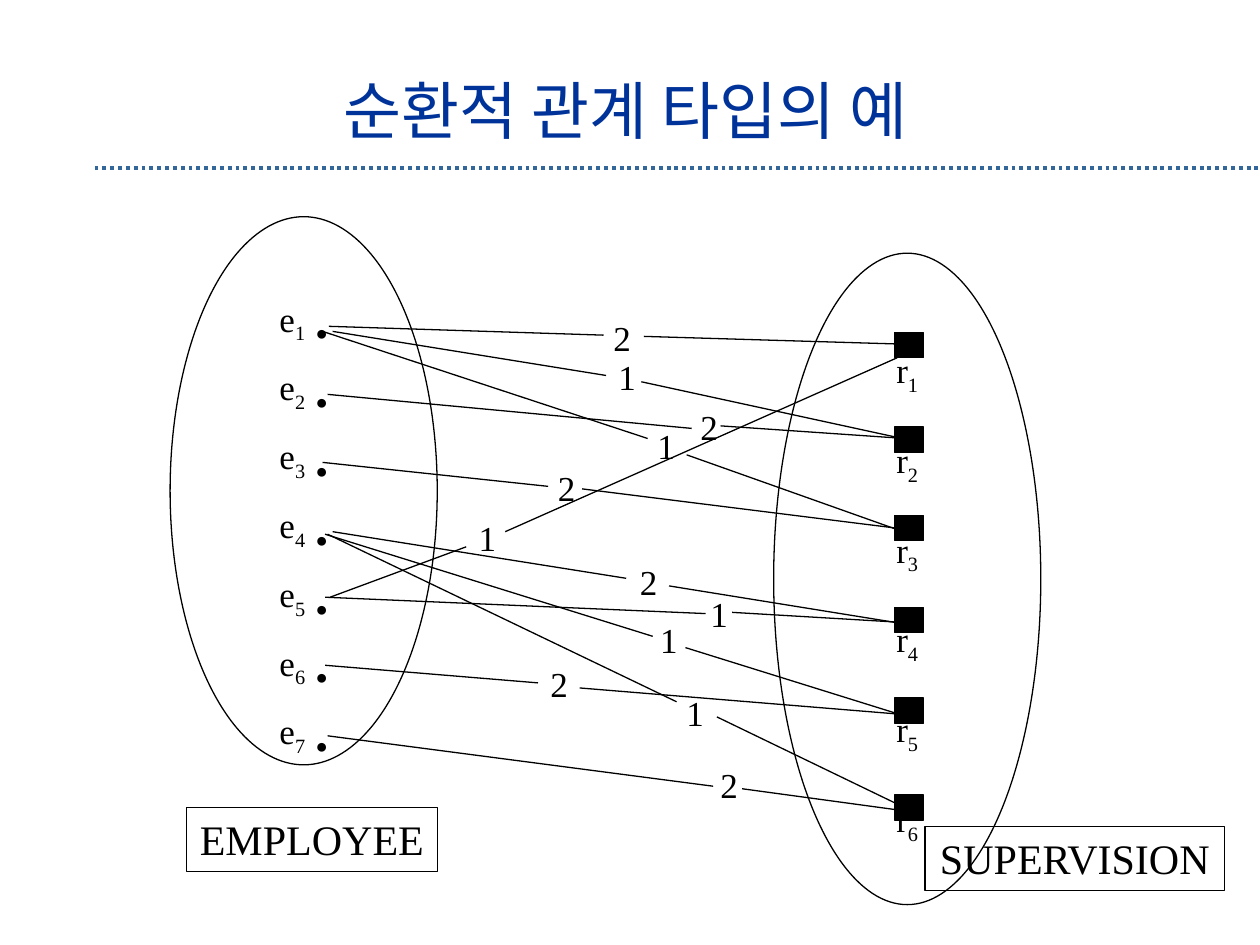
from lxml.etree import SubElement
from pptx import Presentation
from pptx.dml.color import RGBColor
from pptx.enum.dml import MSO_LINE
from pptx.enum.shapes import MSO_CONNECTOR, MSO_SHAPE
from pptx.enum.text import MSO_ANCHOR, MSO_AUTO_SIZE, PP_ALIGN
from pptx.oxml.ns import qn
from pptx.util import Inches, Pt

BLACK = RGBColor(0x00, 0x00, 0x00)
NAVY = RGBColor(0x00, 0x33, 0x99)
STEEL = RGBColor(0x33, 0x66, 0x99)
SERIF = "Times New Roman"
KOREAN = "Noto Sans CJK KR"

EDGES = [
    ((2.61, 2.59), (4.79, 2.66), "2", (4.77, 2.46), (5.11, 2.67), (7.12, 2.73)),
    ((2.64, 2.63), (4.81, 2.98), "1", (4.81, 2.77), (5.09, 3.03), (7.16, 3.48)),
    ((2.56, 2.63), (5.14, 3.48), "1", (5.12, 3.32), (5.45, 3.61), (7.14, 4.21)),
    ((2.60, 3.13), (5.49, 3.40), "2", (5.46, 3.17), (5.72, 3.38), (7.18, 3.48)),
    ((2.56, 3.67), (4.35, 3.86), "2", (4.33, 3.65), (4.62, 3.88), (7.10, 4.19)),
    ((2.64, 4.22), (4.97, 4.59), "2", (4.98, 4.40), (5.31, 4.65), (7.29, 4.97)),
    ((2.58, 4.24), (5.18, 5.05), "1", (5.14, 4.86), (5.44, 5.14), (7.14, 5.67)),
    ((2.60, 4.24), (5.37, 5.57), "1", (5.35, 5.44), (5.69, 5.69), (7.16, 6.40)),
    ((2.62, 4.74), (3.70, 4.34), "1", (3.70, 4.05), (4.01, 4.22), (7.12, 2.84)),
    ((2.58, 4.74), (5.60, 4.87), "1", (5.54, 4.65), (5.81, 4.86), (7.16, 4.94)),
    ((2.58, 5.28), (4.27, 5.42), "2", (4.27, 5.21), (4.60, 5.46), (7.16, 5.67)),
    ((2.60, 5.84), (5.66, 6.24), "2", (5.62, 6.01), (5.89, 6.26), (7.14, 6.43)),
]
SQUARE_TOPS = [2.64, 3.39, 4.09, 4.82, 5.54, 6.31]


class Diagram:
    """Draws the parts of a relationship diagram on one slide."""

    def __init__(self, slide):
        self.s = slide

    def style(self, p, size, font=SERIF, color=BLACK, align=PP_ALIGN.CENTER):
        p.alignment = align
        p.font.size = Pt(size)
        p.font.name = font
        p.font.color.rgb = color

    def line(self, start, end, color=BLACK, width=0.75, dash=None):
        points = [Inches(v) for v in (*start, *end)]
        c = self.s.shapes.add_connector(MSO_CONNECTOR.STRAIGHT, *points)
        c.line.color.rgb = color
        c.line.width = Pt(width)
        if dash:
            c.line.dash_style = dash
        SubElement(c._element.spPr, qn("a:effectLst"))

    def shape(self, kind, box, filled=False):
        sp = self.s.shapes.add_shape(kind, *[Inches(v) for v in box])
        sp.shadow.inherit = False
        if filled:
            sp.fill.solid()
            sp.fill.fore_color.rgb = BLACK
        else:
            sp.fill.background()
        sp.line.color.rgb = BLACK
        sp.line.width = Pt(0.75)
        return sp

    def name_box(self, box, text):
        tf = self.shape(MSO_SHAPE.RECTANGLE, box).text_frame
        tf.word_wrap = False
        tf.auto_size = MSO_AUTO_SIZE.SHAPE_TO_FIT_TEXT
        tf.vertical_anchor = MSO_ANCHOR.TOP
        p = tf.paragraphs[0]
        p.text = text
        self.style(p, 24)

    def subscript(self, p, text, spacing=0):
        r = p.add_run()
        r.text = text
        rPr = r.font._element
        rPr.set("baseline", "-25000")
        if spacing:
            rPr.set("spc", str(spacing))

    def entity_set(self, box, letter, count, gap, bottom, dots=False):
        tf = self.shape(MSO_SHAPE.OVAL, box).text_frame
        tf.word_wrap = False
        tf.vertical_anchor = MSO_ANCHOR.TOP
        tf.margin_top = 0
        tf.margin_bottom = Inches(bottom)
        for i in range(count):
            p = tf.add_paragraph() if i else tf.paragraphs[0]
            if i:
                p.space_before = Pt(gap)
            p.space_after = Pt(gap)
            p.add_run().text = letter
            self.subscript(p, str(i + 1))
            if dots:
                self.subscript(p, " ", 300)
                self.subscript(p, "●")
            self.style(p, 20)

    def label(self, at, text):
        box = (*at, 0.34, 0.43)
        tf = self.s.shapes.add_textbox(*[Inches(v) for v in box]).text_frame
        tf.word_wrap = False
        tf.auto_size = MSO_AUTO_SIZE.SHAPE_TO_FIT_TEXT
        p = tf.paragraphs[0]
        p.text = text
        self.style(p, 20, align=PP_ALIGN.LEFT)

    def title(self, box, text):
        tf = self.s.shapes.add_textbox(*[Inches(v) for v in box]).text_frame
        tf.word_wrap = True
        tf.vertical_anchor = MSO_ANCHOR.MIDDLE
        p = tf.paragraphs[0]
        p.text = text
        p.line_spacing = 1.3
        self.style(p, 36, KOREAN, NAVY)
        ea = SubElement(p.font._element, qn("a:ea"))
        ea.set("typeface", KOREAN)


def main():
    prs = Presentation()
    prs.slide_width, prs.slide_height = Inches(10), Inches(7.5)
    d = Diagram(prs.slides.add_slide(prs.slide_layouts[6]))
    d.line((0.75, 1.33), (10, 1.33), STEEL, 2.25, MSO_LINE.ROUND_DOT)
    d.title((0.32, 0.28, 9.29, 0.99), "순환적 관계 타입의 예")
    d.entity_set((1.35, 1.72, 2.12, 4.35), "e", 7, 6, 2, dots=True)
    d.name_box((1.48, 6.41, 1.99, 0.51), "EMPLOYEE")
    d.entity_set((6.14, 2.01, 2.12, 5.17), "r", 6, 12, 3.5)
    d.name_box((7.34, 6.56, 2.38, 0.51), "SUPERVISION")
    for top in SQUARE_TOPS:
        d.shape(MSO_SHAPE.RECTANGLE, (7.1, top, 0.23, 0.2), filled=True)
    for start, pause, role, at, resume, end in EDGES:
        d.line(start, pause)
        d.label(at, role)
        d.line(resume, end)
    prs.save("out.pptx")


if __name__ == "__main__":
    main()
